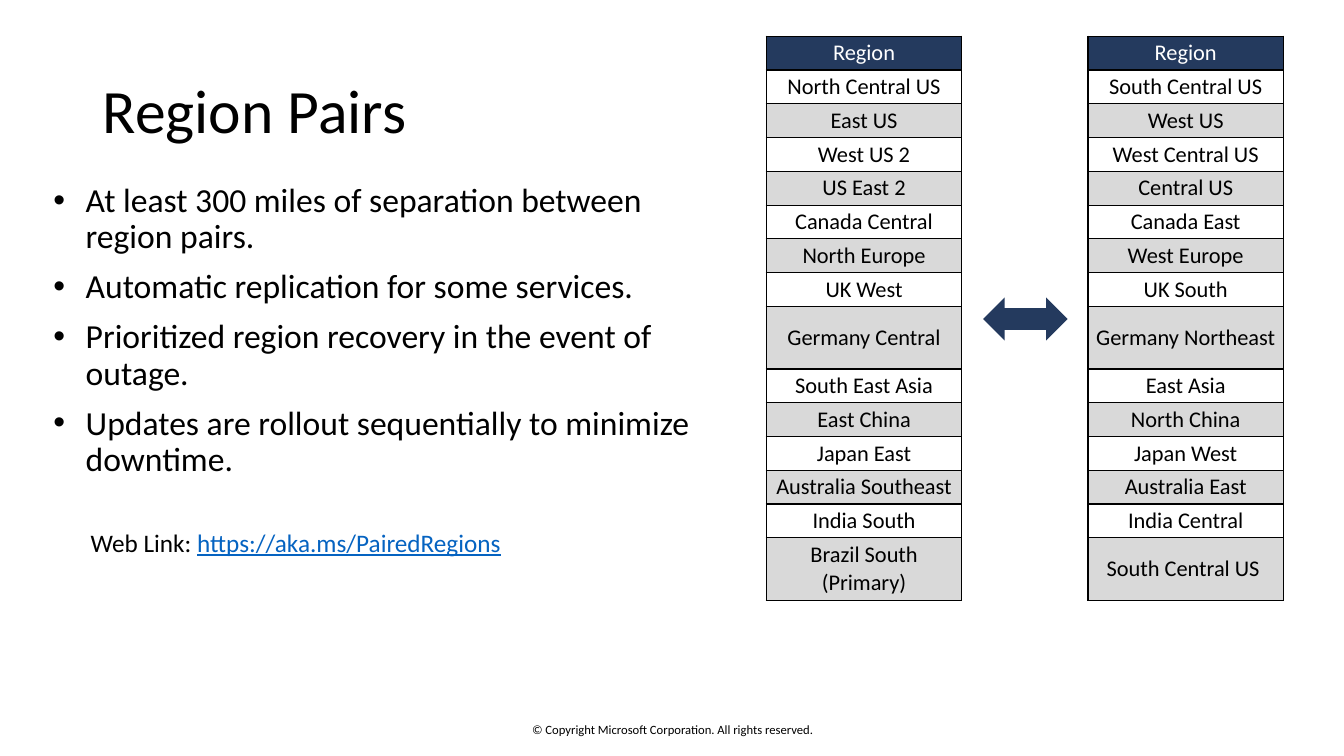
from lxml.etree import SubElement
from pptx import Presentation
from pptx.dml.color import RGBColor
from pptx.enum.shapes import MSO_SHAPE
from pptx.enum.text import MSO_ANCHOR, MSO_AUTO_SIZE, PP_ALIGN
from pptx.oxml.ns import qn
from pptx.util import Inches, Pt

TITLE = "Region Pairs"
POINTS = [
    "At least 300 miles of separation between region pairs.",
    "Automatic replication for some services.",
    "Prioritized region recovery in the event of outage.",
    "Updates are rollout sequentially to minimize downtime.",
]
LINK_LABEL = "Web Link: "
LINK_ADDRESS = "https://aka.ms/PairedRegions"
COPYRIGHT = "© Copyright Microsoft Corporation. All rights reserved."
REGION_PAIRS = [
    ("Region", "Region"),
    ("North Central US", "South Central US"),
    ("East US", "West US"),
    ("West US 2", "West Central US"),
    ("US East 2", "Central US"),
    ("Canada Central", "Canada East"),
    ("North Europe", "West Europe"),
    ("UK West", "UK South"),
    ("Germany Central", "Germany Northeast"),
    ("South East Asia", "East Asia"),
    ("East China", "North China"),
    ("Japan East", "Japan West"),
    ("Australia Southeast", "Australia East"),
    ("India South", "India Central"),
    ("Brazil South (Primary)", "South Central US "),
]
TALL_ROWS = {8, 14}

FONT = "Calibri"
BLACK, WHITE, NAVY, GREY, LINK_BLUE = "000000", "FFFFFF", "243A5E", "D9D9D9", "0563C1"

TABLE_LEFTS = (7.6, 10.79)
TABLE_TOP, TABLE_WIDTH, TABLE_HEIGHT = 0.36, 1.94, 5.6
TALL_HEIGHT = 0.62
ROW_HEIGHT = (TABLE_HEIGHT - len(TALL_ROWS) * TALL_HEIGHT) / (len(REGION_PAIRS) - len(TALL_ROWS))


def rgb(color):
    return RGBColor.from_string(color)


def style(font, size, color=BLACK):
    font.name = FONT
    font.size = Pt(size)
    font.color.rgb = rgb(color)


def place(shape, left, top, width, height):
    shape.left, shape.top = Inches(left), Inches(top)
    shape.width, shape.height = Inches(width), Inches(height)


def set_insets(holder, horizontal, vertical):
    """Set the margins of a text frame or a table cell."""
    holder.margin_left = holder.margin_right = Inches(horizontal)
    holder.margin_top = holder.margin_bottom = Inches(vertical)


def add_text(slide, left, top, width, height):
    frame = slide.shapes.add_textbox(
        Inches(left), Inches(top), Inches(width), Inches(height)).text_frame
    frame.word_wrap = True
    return frame


def add_bullet(paragraph):
    props = paragraph._p.get_or_add_pPr()
    props.set("marL", str(Inches(0.32)))
    props.set("indent", str(-Inches(0.32)))
    SubElement(props, qn("a:buFont"), typeface="Arial")
    SubElement(props, qn("a:buChar"), char="•")


def add_borders(cell):
    props = cell._tc.get_or_add_tcPr()
    for side in ("a:lnL", "a:lnR", "a:lnT", "a:lnB"):
        line = SubElement(props, qn(side), w=str(Pt(1)))
        SubElement(SubElement(line, qn("a:solidFill")), qn("a:srgbClr"), val=BLACK)


def add_region_table(slide, left, regions):
    table = slide.shapes.add_table(
        len(regions), 1, Inches(left), Inches(TABLE_TOP),
        Inches(TABLE_WIDTH), Inches(TABLE_HEIGHT)).table
    for index, region in enumerate(regions):
        table.rows[index].height = Inches(TALL_HEIGHT if index in TALL_ROWS else ROW_HEIGHT)
        cell = table.cell(index, 0)
        add_borders(cell)
        is_header = index == 0
        cell.fill.solid()
        cell.fill.fore_color.rgb = rgb(NAVY if is_header else WHITE if index % 2 else GREY)
        set_insets(cell, 0.03, 0.02)
        cell.vertical_anchor = MSO_ANCHOR.MIDDLE
        cell.text = region
        paragraph = cell.text_frame.paragraphs[0]
        paragraph.alignment = PP_ALIGN.CENTER
        style(paragraph.runs[0].font, 16, WHITE if is_header else BLACK)
        paragraph.runs[0].font.bold = False


def main():
    deck = Presentation()
    deck.slide_width, deck.slide_height = Inches(13.33), Inches(7.5)
    slide = deck.slides.add_slide(deck.slide_layouts[1])

    title = slide.shapes.title
    place(title, 0.92, 0.4, 11.5, 1.45)
    title.text_frame.text = TITLE
    title.text_frame.vertical_anchor = MSO_ANCHOR.MIDDLE
    heading = title.text_frame.paragraphs[0]
    heading.alignment = PP_ALIGN.LEFT
    heading.line_spacing = 0.9
    style(heading.runs[0].font, 44)

    body = slide.placeholders[1]
    place(body, 0.53, 1.82, 6.48, 3.25)
    set_insets(body.text_frame, 0, 0)
    body.text_frame.auto_size = MSO_AUTO_SIZE.NONE
    body.text_frame.text = "\n".join(POINTS)
    for index, point in enumerate(body.text_frame.paragraphs):
        add_bullet(point)
        point.line_spacing = 0.9
        point.space_before = Pt(3.9 if index else 0)
        point.space_after = Pt(5.9)
        style(point.runs[0].font, 24)

    link_frame = add_text(slide, 0.7, 5.13, 6.67, 0.6)
    set_insets(link_frame, 0.2, 0.16)
    link_line = link_frame.paragraphs[0]
    link_line.line_spacing = 0.9
    link_line.space_after = Pt(6)
    for words, color in ((LINK_LABEL, BLACK), (LINK_ADDRESS, LINK_BLUE)):
        run = link_line.add_run()
        run.text = words
        style(run.font, 18, color)
        run.font.underline = color == LINK_BLUE

    for left, regions in zip(TABLE_LEFTS, zip(*REGION_PAIRS)):
        add_region_table(slide, left, regions)

    arrow = slide.shapes.add_shape(
        MSO_SHAPE.LEFT_RIGHT_ARROW, Inches(9.75), Inches(2.95), Inches(0.84), Inches(0.43))
    arrow.shadow.inherit = False
    arrow.fill.solid()
    arrow.fill.fore_color.rgb = rgb(NAVY)
    arrow.line.fill.background()

    footer = add_text(slide, 4.42, 7.16, 4.5, 0.15)
    set_insets(footer, 0, 0)
    footer.vertical_anchor = MSO_ANCHOR.MIDDLE
    footer.text = COPYRIGHT
    footer.paragraphs[0].alignment = PP_ALIGN.CENTER
    style(footer.paragraphs[0].runs[0].font, 9)

    deck.save("out.pptx")


if __name__ == "__main__":
    main()
